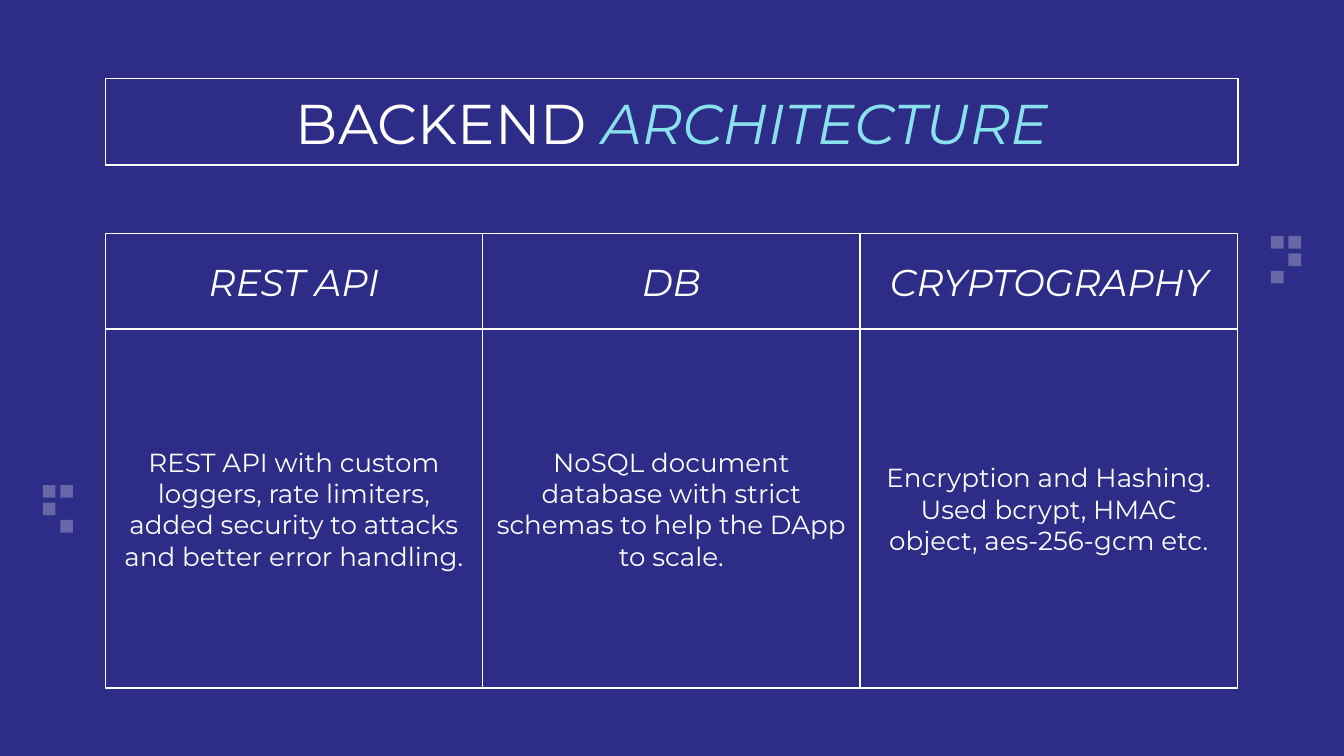
from lxml import etree
from pptx import Presentation
from pptx.dml.color import RGBColor
from pptx.enum import shapes, text
from pptx.oxml import ns
from pptx.util import Cm, Pt

NAVY = RGBColor(0x2D, 0x2D, 0x87)
WHITE = RGBColor(0xFF, 0xFF, 0xFF)
AQUA = RGBColor(0x89, 0xE1, 0xEC)
FONT = "Montserrat"

COLUMNS = [
    ("REST API", ["REST API with custom loggers, rate limiters, added security "
                  "to attacks and better error handling."]),
    ("DB", ["NoSQL document database with strict schemas to help the DApp to scale."]),
    ("CRYPTOGRAPHY", ["Encryption and Hashing.",
                      "Used bcrypt, HMAC object, aes-256-gcm etc."]),
]


def add_box(s, x, y, w, h, paragraphs, size, italic=False):
    """Add an outlined box of centred text; positions are in cm."""
    sp = s.shapes.add_shape(shapes.MSO_SHAPE.RECTANGLE, Cm(x), Cm(y), Cm(w), Cm(h))
    sp.shadow.inherit = False
    sp.fill.solid()
    sp.fill.fore_color.rgb = NAVY
    sp.line.color.rgb = WHITE
    sp.line.width = Pt(0.75)
    tf = sp.text_frame
    tf.word_wrap = True
    tf.vertical_anchor = text.MSO_ANCHOR.MIDDLE
    tf.margin_left = tf.margin_right = tf.margin_top = tf.margin_bottom = Cm(0.25)
    tf.text = "\n".join(paragraphs)
    for p in tf.paragraphs:
        p.alignment = text.PP_ALIGN.CENTER
        for r in p.runs:
            r.font.name = FONT
            r.font.size = Pt(size)
            r.font.italic = italic
            r.font.color.rgb = WHITE
    return sp


def add_title(s, x, y, w, h):
    sp = add_box(s, x, y, w, h, ["BACKEND "], 30)
    r = sp.text_frame.paragraphs[0].add_run()
    r.text = "ARCHITECTURE"
    r.font.name = FONT
    r.font.size = Pt(30)
    r.font.italic = True
    r.font.color.rgb = AQUA


def add_columns(s, x, y, w, h, heading_h=1.8):
    col_w = w / len(COLUMNS)
    for i, (heading, body) in enumerate(COLUMNS):
        left = x + i * col_w
        add_box(s, left, y, col_w, heading_h, [heading], 20, italic=True)
        add_box(s, left, y + heading_h, col_w, h - heading_h, body, 14)


def add_pixels(s, x, y, cells, size=0.24, pitch=0.33):
    """Add translucent squares at the given (column, row) cells."""
    for col, row in cells:
        sp = s.shapes.add_shape(shapes.MSO_SHAPE.RECTANGLE, Cm(x + col * pitch),
                                Cm(y + row * pitch), Cm(size), Cm(size))
        sp.shadow.inherit = False
        sp.line.fill.background()
        sp.fill.solid()
        sp.fill.fore_color.rgb = WHITE
        color = sp.fill._xPr.find(ns.qn("a:solidFill"))[0]
        etree.SubElement(color, ns.qn("a:alpha"), val="28000")


def main():
    prs = Presentation()
    prs.slide_width, prs.slide_height = Cm(25.4), Cm(14.29)
    s = prs.slides.add_slide(prs.slide_layouts[6])
    s.background.fill.solid()
    s.background.fill.fore_color.rgb = NAVY
    add_pixels(s, 24.02, 4.46, [(0, 0), (1, 0), (1, 1), (0, 2)])
    add_pixels(s, 0.81, 9.17, [(1, 0), (0, 0), (0, 1), (1, 2)])
    add_title(s, 2, 1.49, 21.4, 1.63)
    add_columns(s, 1.99, 4.42, 21.4, 8.59)
    prs.save("out.pptx")


if __name__ == "__main__":
    main()
